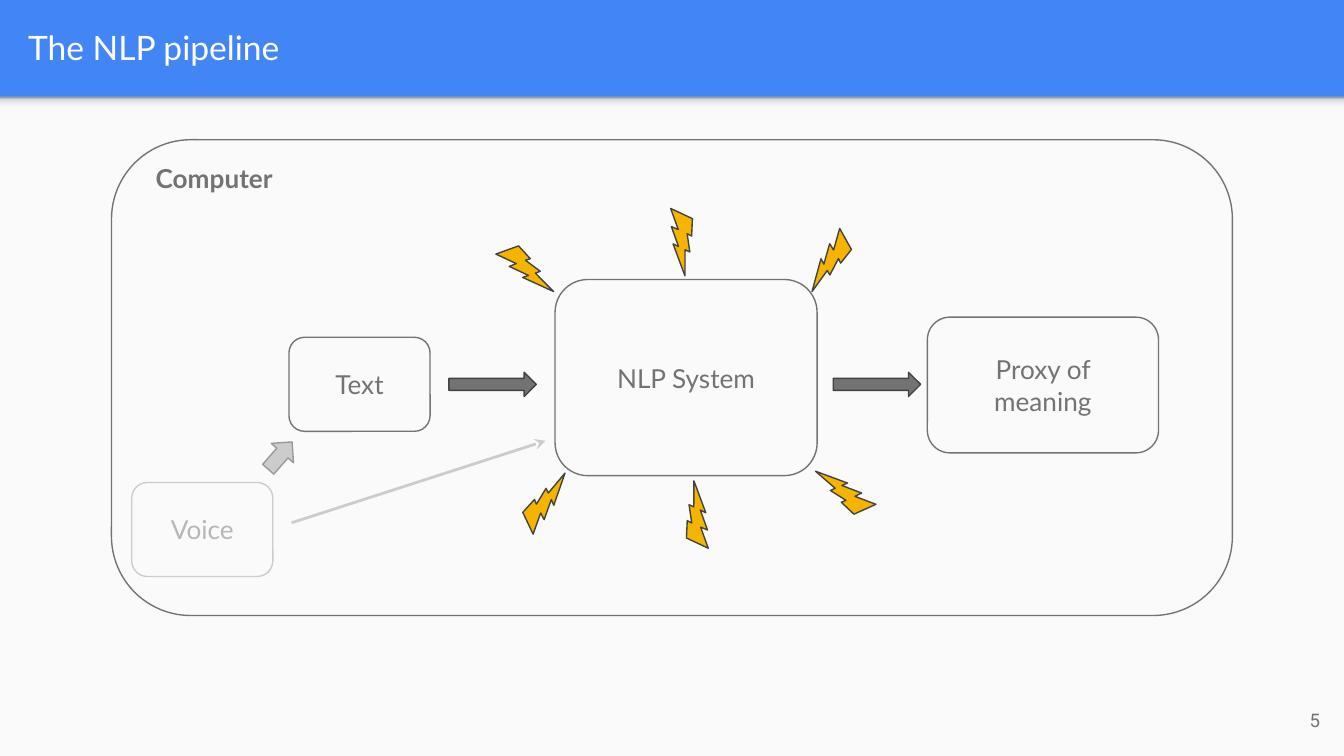
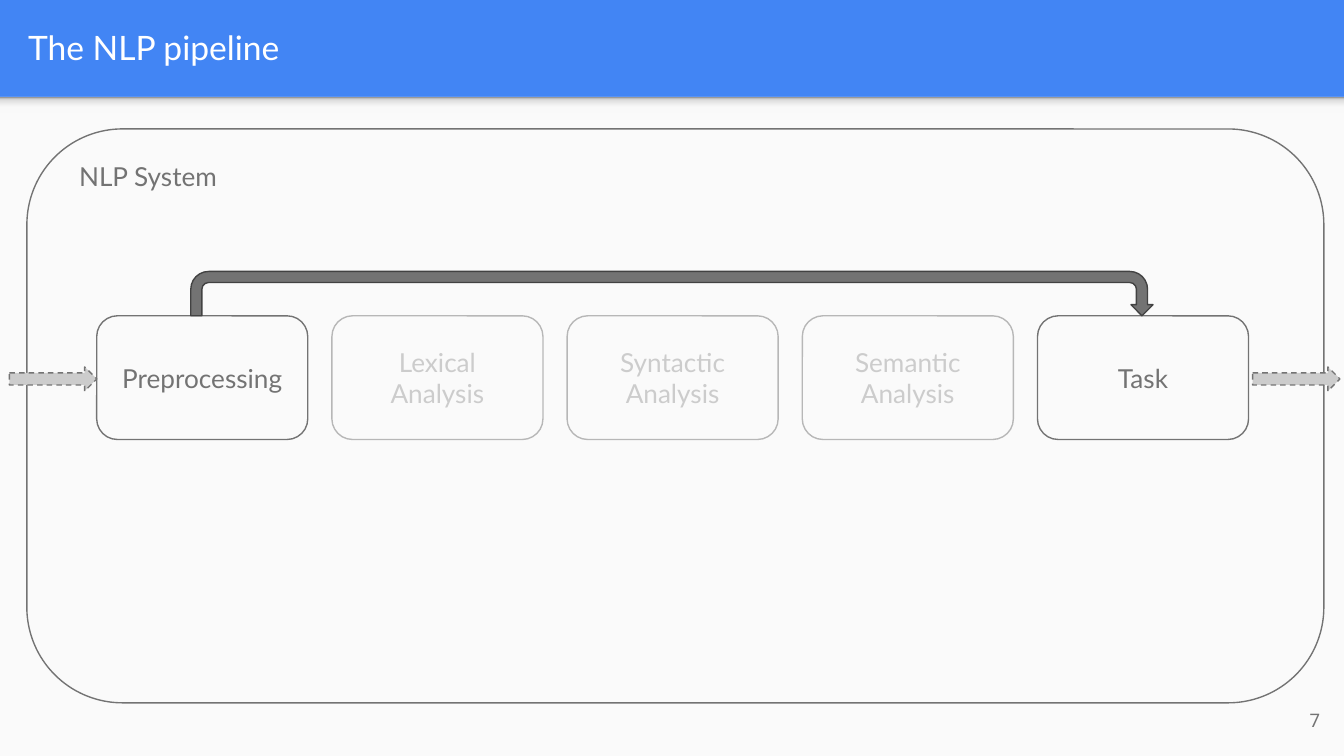
from lxml.etree import SubElement
from pptx import Presentation
from pptx.dml.color import RGBColor
from pptx.enum.dml import MSO_LINE
from pptx.enum.shapes import MSO_CONNECTOR, MSO_SHAPE
from pptx.enum.text import MSO_ANCHOR, MSO_AUTO_SIZE, PP_ALIGN
from pptx.oxml.ns import qn
from pptx.util import Emu, Inches, Pt

SLIDE_WIDTH = Inches(10)
SLIDE_HEIGHT = Emu(SLIDE_WIDTH * 9 // 16)
GRID_COLUMNS = 100
CELL = SLIDE_WIDTH / GRID_COLUMNS

BLUE = RGBColor(0x42, 0x85, 0xF4)
PAPER = RGBColor(0xFA, 0xFA, 0xFA)
WHITE = RGBColor(0xFF, 0xFF, 0xFF)
INK = RGBColor(0x73, 0x73, 0x73)
EDGE = RGBColor(0x42, 0x42, 0x42)
MID_GRAY = RGBColor(0x99, 0x99, 0x99)
SOFT_GRAY = RGBColor(0xB7, 0xB7, 0xB7)
PALE_GRAY = RGBColor(0xCC, 0xCC, 0xCC)
AMBER = RGBColor(0xF4, 0xB4, 0x00)
BAND_SHADE = [(0, "F9F9F9"), (36, "F9F9F9"), (80, "DEDEDE"), (100, "999999")]

BODY_FONT, NUMBER_FONT = "Lato", "Roboto"
LEFT, CENTER, RIGHT = PP_ALIGN.LEFT, PP_ALIGN.CENTER, PP_ALIGN.RIGHT
TOP, MIDDLE = MSO_ANCHOR.TOP, MSO_ANCHOR.MIDDLE
NO_AUTOFIT = MSO_AUTO_SIZE.NONE
RECTANGLE = MSO_SHAPE.RECTANGLE
ROUNDED = MSO_SHAPE.ROUNDED_RECTANGLE
RIGHT_ARROW = MSO_SHAPE.RIGHT_ARROW
U_TURN_ARROW = MSO_SHAPE.U_TURN_ARROW
BOLT = MSO_SHAPE.LIGHTNING_BOLT
STRAIGHT = MSO_CONNECTOR.STRAIGHT
DASH = MSO_LINE.DASH

TITLE_ONLY = 5
HEADER_ROWS = 7.2
BOLT_SIZE = (4.3, 3.4)
ARROW_SIZE = (6.5, 1.8)
SMALL_BOX = (10.5, 7)
BOLTS = [
    (36.9, 18.3, 0), (48.5, 16.1, 45), (59.6, 17.6, 80.7),
    (60.8, 34.9, 175.7), (49.8, 36.8, 225), (38.4, 35.8, 264.6),
]
STAGES = [
    ("Preprocessing", True), ("Lexical Analysis", False),
    ("Syntactic Analysis", False), ("Semantic Analysis", False), ("Task", True),
]
STAGE_SIZE = (15.7, 9.2)
STAGE_LEFT, STAGE_TOP, STAGE_STEP = 7.2, 23.5, 17.5


def cells(*counts):
    """Turn counts of grid cells into lengths."""
    return [Emu(round(count * CELL)) for count in counts]


def write(holder, wording, align=CENTER, anchor=MIDDLE, size=14, font=BODY_FONT,
          color=INK, bold=False):
    """Set the wording of a holder and format it."""
    frame = holder.text_frame
    frame.text = wording
    frame.word_wrap = True
    frame.auto_size = NO_AUTOFIT
    frame.vertical_anchor = anchor
    frame.margin_left = frame.margin_right = Inches(0.1)
    frame.margin_top = frame.margin_bottom = Inches(0.1)
    for paragraph in frame.paragraphs:
        paragraph.alignment = align
        for run in paragraph.runs:
            run.font.name = font
            run.font.size = Pt(size)
            run.font.bold = bold
            run.font.color.rgb = color


def add_figure(shapes, preset, box, fill=None, line=None, rotation=0):
    """Add a preset shape with a flat fill and a thin outline."""
    figure = shapes.add_shape(preset, *cells(*box))
    figure.shadow.inherit = False
    figure.rotation = rotation
    if fill is None:
        figure.fill.background()
    else:
        figure.fill.solid()
        figure.fill.fore_color.rgb = fill
    if line is None:
        figure.line.fill.background()
    else:
        figure.line.color.rgb = line
        figure.line.width = Pt(0.75)
    return figure


def add_box(shapes, wording, box, line=INK, color=INK):
    """Add a rounded box with a centred label."""
    write(add_figure(shapes, ROUNDED, box, line=line), wording, color=color)


def add_label(slide, wording, box, **style):
    """Add a plain text label."""
    write(slide.shapes.add_textbox(*cells(*box)), wording, **style)


def add_stealth_line(slide, start, end):
    """Add a pale line that ends in a stealth arrowhead."""
    link = slide.shapes.add_connector(STRAIGHT, *cells(*start, *end))
    link.line.color.rgb = PALE_GRAY
    link.line.width = Pt(1.5)
    SubElement(link.element.find(".//" + qn("a:ln")), qn("a:tailEnd"), type="stealth")
    SubElement(link.element.spPr, qn("a:effectLst"))


def shade_band(band):
    """Give the band under the header its upward gradient."""
    band.fill.gradient()
    band.fill.gradient_angle = 90
    stops = band.element.find(".//" + qn("a:gsLst"))
    for stop in list(stops):
        stops.remove(stop)
    for percent, shade in BAND_SHADE:
        stop = SubElement(stops, qn("a:gs"), pos=str(percent * 1000))
        SubElement(stop, qn("a:srgbClr"), val=shade)


def dress_master(prs, slide):
    """Put the blue header, the paper and the shaded band on the master."""
    master = prs.slide_master
    master.background.fill.solid()
    master.background.fill.fore_color.rgb = BLUE
    paper = add_figure(slide.shapes, RECTANGLE, (0, HEADER_ROWS, 100, 49.05), PAPER)
    band = add_figure(slide.shapes, RECTANGLE, (0, HEADER_ROWS, 100, 1.2), PAPER)
    shade_band(band)
    for depth, part in enumerate((paper, band), start=2):
        master.shapes.element.insert(depth, part.element)


def add_page(prs, title, number):
    """Add a slide with its title and page number."""
    slide = prs.slides.add_slide(prs.slide_layouts[TITLE_ONLY])
    heading = slide.shapes.title
    heading.left, heading.top, heading.width, heading.height = cells(1.1, 0.2, 96.5, 6.6)
    write(heading, title, align=LEFT, size=18, color=WHITE)
    add_label(slide, str(number), (93.2, 51.4, 6, 4.3), align=RIGHT, size=10,
              font=NUMBER_FONT)
    return slide


def draw_computer(slide):
    """Draw the path from voice and text to a proxy of meaning."""
    add_figure(slide.shapes, ROUNDED, (8.3, 10.4, 83.4, 35.4), line=INK)
    add_box(slide.shapes, "Text", (21.5, 25.1, *SMALL_BOX))
    add_box(slide.shapes, "NLP System", (41.3, 20.8, 19.5, 14.6))
    add_box(slide.shapes, "Proxy of meaning", (69, 23.6, 17.2, 10.1))
    for arrow_left in (33.4, 62):
        add_figure(slide.shapes, RIGHT_ARROW, (arrow_left, 27.7, *ARROW_SIZE), INK, EDGE)
    add_label(slide, "Computer", (10.6, 11.1, 48.1, 5.6), align=LEFT, anchor=TOP,
              bold=True)
    sparks = slide.shapes.add_group_shape()
    for left, top, rotation in BOLTS:
        add_figure(sparks.shapes, BOLT, (left, top, *BOLT_SIZE), AMBER, EDGE, rotation)
    voice = slide.shapes.add_group_shape()
    add_box(voice.shapes, "Voice", (9.8, 35.9, *SMALL_BOX), PALE_GRAY, SOFT_GRAY)
    add_figure(voice.shapes, RIGHT_ARROW, (19.5, 32.8, 2.7, 2.2), PALE_GRAY, MID_GRAY,
               311.1)
    add_stealth_line(slide, (21.7, 38.9), (40.6, 32.8))


def draw_system(slide):
    """Draw the stages of the system and the shortcut past the middle ones."""
    add_figure(slide.shapes, ROUNDED, (2, 9.6, 96.5, 42.7), line=INK)
    for index, (stage, active) in enumerate(STAGES):
        box = (STAGE_LEFT + index * STAGE_STEP, STAGE_TOP, *STAGE_SIZE)
        line, color = (INK, INK) if active else (SOFT_GRAY, PALE_GRAY)
        add_box(slide.shapes, stage, box, line, color)
    shortcut = add_figure(slide.shapes, U_TURN_ARROW, (14.2, 20.2, 71.6, 3.3), INK, EDGE)
    for index, share in enumerate((0.25, 0.25, 0.25, 0.4, 1)):
        shortcut.adjustments[index] = share
    for arrow_left in (0.7, 93.2):
        flow = add_figure(slide.shapes, RIGHT_ARROW, (arrow_left, 27.3, *ARROW_SIZE),
                          PALE_GRAY, INK)
        flow.line.dash_style = DASH
    add_label(slide, "NLP System", (4.9, 10.9, 15.7, 4.3), align=LEFT, anchor=TOP)


def main():
    """Build both slides and save them."""
    prs = Presentation()
    prs.slide_width, prs.slide_height = SLIDE_WIDTH, SLIDE_HEIGHT
    computer = add_page(prs, "The NLP pipeline", 5)
    dress_master(prs, computer)
    draw_computer(computer)
    draw_system(add_page(prs, "The NLP pipeline", 7))
    prs.save("out.pptx")


if __name__ == "__main__":
    main()
